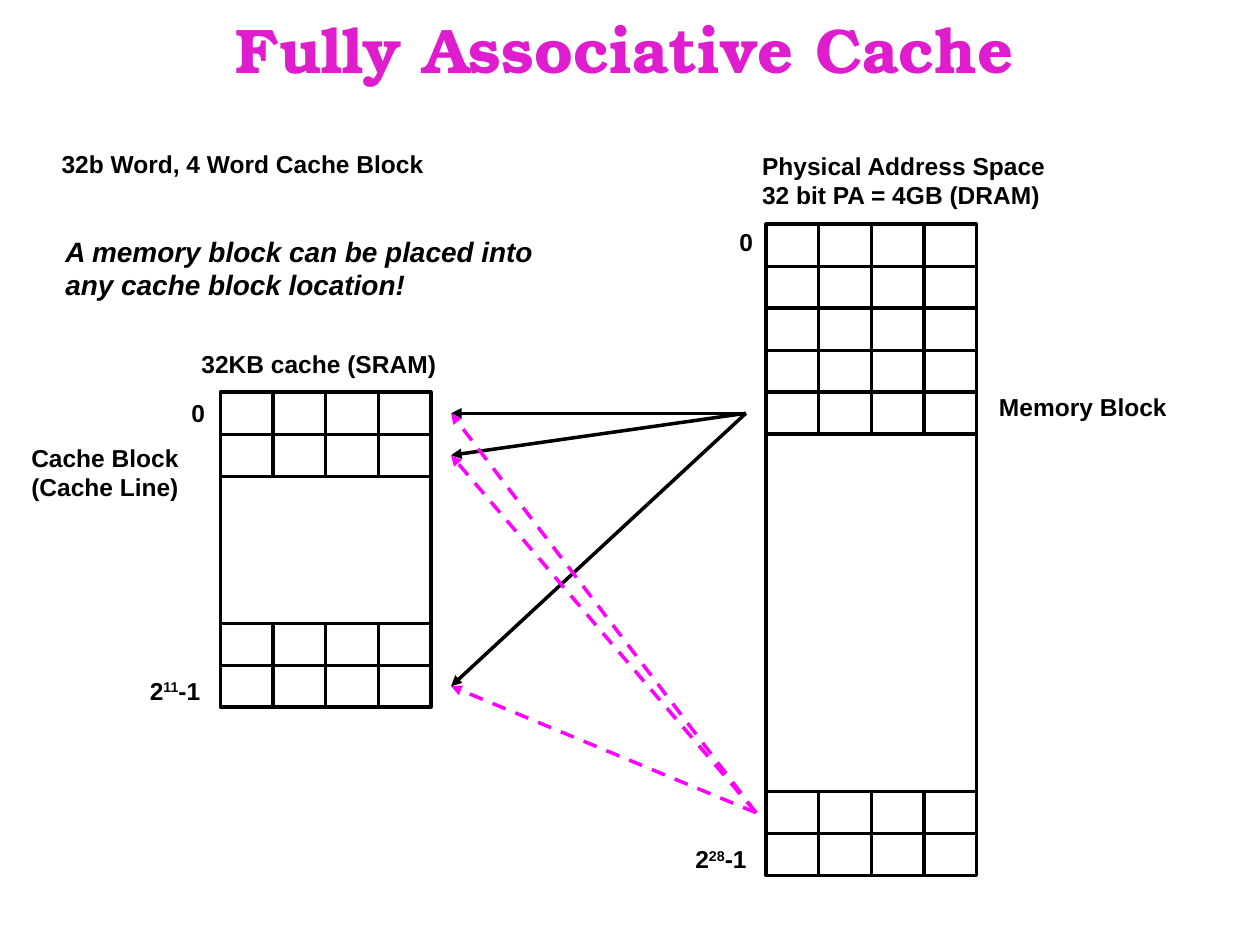
import pptx
import pptx.util
import pptx.dml.color
import pptx.enum.dml
import pptx.enum.shapes
import pptx.enum.text
import pptx.oxml
import pptx.oxml.ns
from pptx.util import Inches

COLORS = {"title": "E01DCE", "ink": "000000", "alternative": "FF00FF"}
ROW_HEIGHT = 1 / 3
WORDS_PER_BLOCK = 4
LINE_WIDTH = pptx.util.Pt(2)

MEMORY_BOX = (6.08, 1.78, 1.67, 5.17)
# The cache starts level with the fifth memory block.
CACHE_BOX = (1.75, MEMORY_BOX[1] + 4 * ROW_HEIGHT, 1.67, 2.5)


def rgb(name):
    return pptx.dml.color.RGBColor.from_string(COLORS[name])


def add_title(slide, text, left, top, width, height):
    title = slide.shapes.title
    title.left, title.top = Inches(left), Inches(top)
    title.width, title.height = Inches(width), Inches(height)
    frame = title.text_frame
    frame.auto_size = pptx.enum.text.MSO_AUTO_SIZE.NONE
    frame.vertical_anchor = pptx.enum.text.MSO_ANCHOR.MIDDLE
    paragraph = frame.paragraphs[0]
    paragraph.alignment = pptx.enum.text.PP_ALIGN.CENTER
    run = paragraph.add_run()
    run.text = text
    run.font.name = "TeX Gyre Bonum"
    run.font.size = pptx.util.Pt(36)
    run.font.bold = True
    run.font.color.rgb = rgb("title")


def add_label(slide, lines, left, top, width, height, size=14, italic=False):
    """Add bold lines; each line is a list of runs, and every second run is raised."""
    box = slide.shapes.add_textbox(
        Inches(left), Inches(top), Inches(width), Inches(height))
    frame = box.text_frame
    frame.word_wrap = False
    frame.auto_size = pptx.enum.text.MSO_AUTO_SIZE.SHAPE_TO_FIT_TEXT
    for line_index, parts in enumerate(lines):
        paragraph = frame.add_paragraph() if line_index else frame.paragraphs[0]
        for part_index, part in enumerate(parts):
            run = paragraph.add_run()
            run.text = part
            run.font.name = "Arial"
            run.font.size = pptx.util.Pt(size)
            run.font.bold = True
            run.font.italic = italic
            run.font.color.rgb = rgb("ink")
            if part_index % 2:
                run.font._element.set("baseline", "30000")


def add_frame(slide, left, top, width, height):
    frame = slide.shapes.add_shape(
        pptx.enum.shapes.MSO_SHAPE.RECTANGLE,
        Inches(left), Inches(top), Inches(width), Inches(height))
    frame.shadow.inherit = False
    frame.fill.background()
    frame.line.color.rgb = rgb("ink")
    frame.line.width = LINE_WIDTH


def add_line(slide, start, end, color="ink", dashed=False, arrow=False):
    line = slide.shapes.add_connector(
        pptx.enum.shapes.MSO_CONNECTOR.STRAIGHT,
        *(Inches(value) for value in (*start, *end)))
    line.line.color.rgb = rgb(color)
    line.line.width = LINE_WIDTH
    if dashed:
        line.line.dash_style = pptx.enum.dml.MSO_LINE.DASH
    properties = line._element.spPr
    if arrow:
        head = pptx.oxml.parse_xml(
            f'<a:tailEnd {pptx.oxml.ns.nsdecls("a")} type="triangle"/>')
        properties.get_or_add_ln().append(head)
    properties.append(pptx.oxml.parse_xml(
        f'<a:effectLst {pptx.oxml.ns.nsdecls("a")}/>'))


def add_blocks(slide, box, top_rows, bottom_rows):
    """Draw a store with blocks at both ends; return the centre height of each."""
    left, top, width, height = box
    bottom = top + height
    row_tops = [top + row * ROW_HEIGHT for row in range(top_rows)]
    row_tops += [bottom - row * ROW_HEIGHT for row in range(bottom_rows, 0, -1)]
    add_frame(slide, *box)
    for row_top in row_tops[1:-1]:
        add_frame(slide, left, row_top, width, ROW_HEIGHT)
    for row_top in row_tops:
        for word in range(1, WORDS_PER_BLOCK):
            x = left + word * width / WORDS_PER_BLOCK
            add_line(slide, (x, row_top), (x, row_top + ROW_HEIGHT))
    return [row_top + ROW_HEIGHT / 2 for row_top in row_tops]


def add_cache(slide, box):
    left, top, width, height = box
    block_centres = add_blocks(slide, box, top_rows=2, bottom_rows=2)
    add_label(slide, [["32KB cache (SRAM)"]], left - 0.25, top - 0.39, 2.12, 0.34)
    add_label(slide, [["0"]], left - 0.33, top, 0.32, 0.34)
    add_label(slide, [["Cache Block"], ["(Cache Line)"]],
              left - 1.6, top + 0.35, 1.37, 0.57)
    add_label(slide, [["2", "11", "-1"]], left - 0.66, top + height - 0.3, 0.61, 0.34)
    return block_centres


def add_memory(slide, box):
    left, top, width, height = box
    block_centres = add_blocks(slide, box, top_rows=5, bottom_rows=2)
    add_label(slide, [["Physical Address Space"], ["32 bit PA = 4GB (DRAM)"]],
              left - 0.13, top - 0.63, 2.45, 0.57)
    add_label(slide, [["0"]], left - 0.31, top - 0.03, 0.31, 0.34)
    add_label(slide, [["Memory Block"]], left + width + 0.08, top + 1.28, 1.53, 0.34)
    add_label(slide, [["2", "28", "-1"]], left - 0.66, top + height - 0.3, 0.61, 0.34)
    return block_centres


def add_placements(slide, cache_centres, memory_centres):
    """Point two memory blocks at every cache block they may go to."""
    arrow_end = CACHE_BOX[0] + CACHE_BOX[2] + 0.16
    memory_left = MEMORY_BOX[0]
    first_source = (memory_left - 0.16, memory_centres[4])
    second_source = (memory_left - 0.08, memory_centres[-2])
    targets = [(arrow_end, cache_centres[row]) for row in (0, 1, -1)]
    for source, color, dashed in ((first_source, "ink", False),
                                  (second_source, "alternative", True)):
        for target in targets:
            add_line(slide, source, target, color, dashed, arrow=True)


def main():
    deck = pptx.Presentation()
    deck.slide_width, deck.slide_height = Inches(10), Inches(7.5)
    slide = deck.slides.add_slide(deck.slide_layouts[5])
    add_title(slide, "Fully Associative Cache", 0.51, 0, 8.9, 0.76)
    add_label(slide, [["32b Word, 4 Word Cache Block"]], 0.39, 1.13, 3.08, 0.34)
    add_label(slide, [["A memory block can be placed into"], ["any cache block location!"]],
              0.42, 1.81, 3.98, 0.64, size=16, italic=True)
    cache_centres = add_cache(slide, CACHE_BOX)
    memory_centres = add_memory(slide, MEMORY_BOX)
    add_placements(slide, cache_centres, memory_centres)
    deck.save("out.pptx")


if __name__ == "__main__":
    main()
